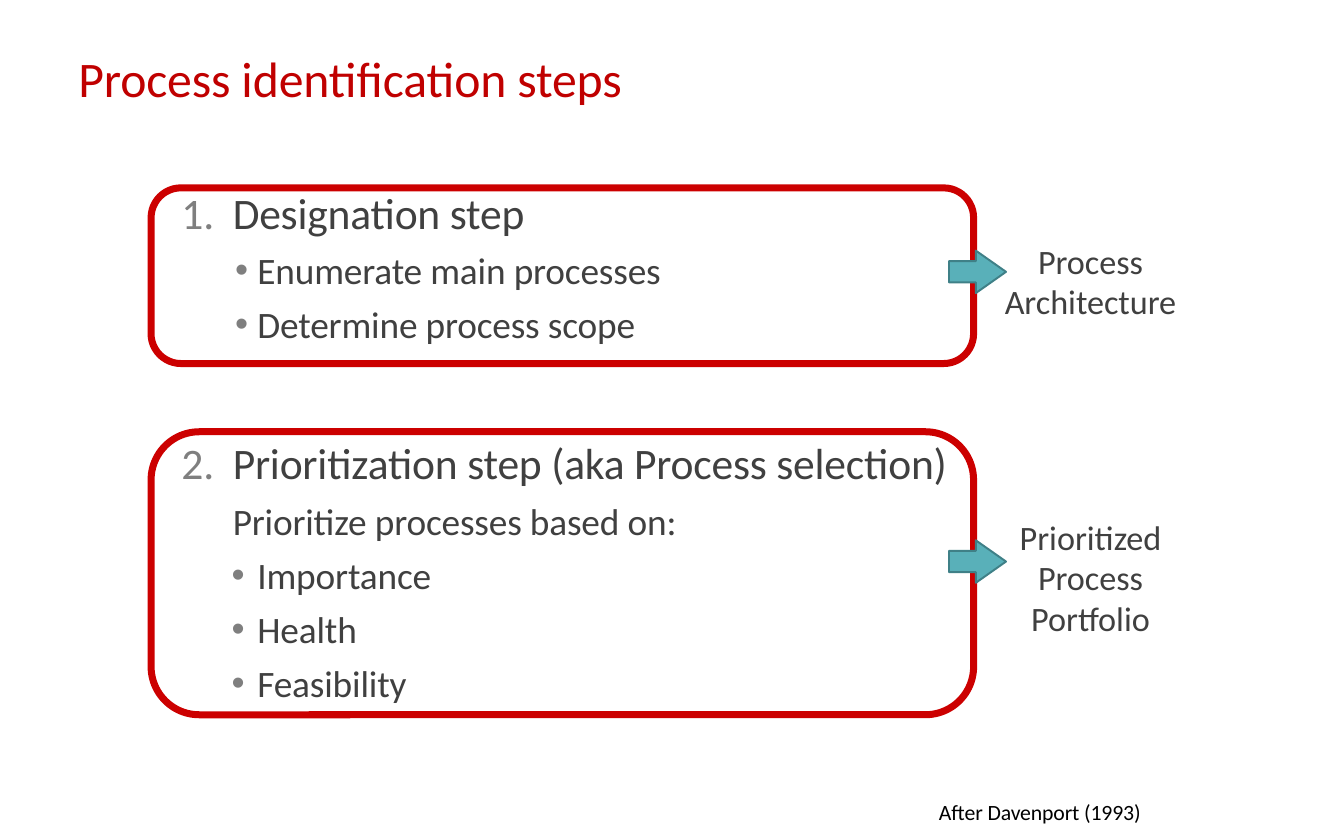
from pptx import Presentation
from pptx.dml.color import RGBColor
from pptx.enum.shapes import MSO_SHAPE as Shape
from pptx.enum.text import MSO_ANCHOR as Anchor, MSO_AUTO_SIZE as Fit, PP_ALIGN as Align
from pptx.oxml.ns import qn
from pptx.util import Inches, Pt
from lxml.etree import SubElement

RED = RGBColor(0xC0, 0x00, 0x00)
FRAME = RGBColor(0xCC, 0x00, 0x00)
TEAL = RGBColor(0x59, 0xB0, 0xB9)
EDGE = RGBColor(0x3F, 0x80, 0x87)
DARK = RGBColor(0x40, 0x40, 0x40)
GRAY = "7F7F7F"
BLACK = RGBColor(0, 0, 0)
FONT = "Calibri"

# Content: each step has a list of (kind, text) lines and an output
TITLE = "Process identification steps"
SOURCE = "After Davenport (1993)"
STEPS = [
    dict(lines=[("num", "Designation step"),
                ("dot", "Enumerate main processes"),
                ("dot", "Determine process scope")],
         top=1.54, height=1.56, hang=0.2, frame=(1.68, 1.57), arrow=2.24,
         output="Process Architecture", label=(2.15, 0.75)),
    dict(lines=[("num", "Prioritization step (aka Process selection)"),
                ("text", "Prioritize processes based on:"),
                ("dot", "Importance"),
                ("dot", "Health"),
                ("dot", "Feasibility")],
         top=3.78, height=2.53, hang=0.23, frame=(3.86, 2.53), arrow=4.83,
         output="Prioritized Process Portfolio", label=(4.62, 1.13)),
]


def place(shape, x, y, w, h):
    shape.left, shape.top = Inches(x), Inches(y)
    shape.width, shape.height = Inches(w), Inches(h)


def setup(shape, inset=0):
    frame = shape.text_frame
    frame.word_wrap = True
    frame.auto_size = Fit.NONE
    frame.vertical_anchor = Anchor.TOP
    frame.margin_left = frame.margin_right = frame.margin_bottom = 0
    frame.margin_top = Inches(inset)
    return frame


def style(para, size, color, align=Align.LEFT, spc=-10):
    para.alignment = align
    para.space_before = 0
    font = para.font
    font.name, font.size, font.color.rgb = FONT, Pt(size), color
    for run in para.runs:
        run._r.get_or_add_rPr().set("spc", str(spc))


def bullet(para, kind, num, hang):
    left, first = {"num": (0.48, -0.46), "text": (0.48, 0), "dot": (0.7, -hang)}[kind]
    props = para._p.get_or_add_pPr()
    props.set("marL", str(Inches(left)))
    props.set("indent", str(Inches(first)))
    if kind == "text":
        SubElement(props, qn("a:buNone"))
        return
    color = SubElement(props, qn("a:buClr"))
    SubElement(color, qn("a:srgbClr"), val=GRAY)
    if kind == "num":
        SubElement(props, qn("a:buFont"), typeface=FONT)
        SubElement(props, qn("a:buAutoNum"), type="arabicPeriod", startAt=str(num))
    else:
        SubElement(props, qn("a:buFont"), typeface="Arial")
        SubElement(props, qn("a:buChar"), char="•")


def fill_list(box, step, num):
    place(box, 1.6, step["top"], 7.1, step["height"])
    frame = setup(box, 0.12)
    for i, (kind, text) in enumerate(step["lines"]):
        para = frame.add_paragraph() if i else frame.paragraphs[0]
        para.text = text
        para.level = 1 if kind == "dot" else 0
        bullet(para, kind, num, step["hang"])
        style(para, 28 if kind == "num" else 24, DARK)
        if i:
            para.space_before = Pt(6)


def add_text(slide, text, x, y, w, h):
    box = slide.shapes.add_textbox(Inches(x), Inches(y), Inches(w), Inches(h))
    para = setup(box).paragraphs[0]
    para.text = text
    return para


def add_shape(slide, kind, x, y, w, h, color, width, adjust):
    shape = slide.shapes.add_shape(kind, Inches(x), Inches(y), Inches(w), Inches(h))
    shape.shadow.inherit = False
    shape.line.color.rgb, shape.line.width = color, Pt(width)
    for i, value in enumerate(adjust):
        shape.adjustments[i] = value
    return shape


def main():
    deck = Presentation()
    deck.slide_width, deck.slide_height = Inches(12.01), Inches(7.5)
    slide = deck.slides.add_slide(deck.slide_layouts[3])

    # Title
    title = slide.shapes.title
    place(title, 0.7, 0.42, 6, 0.56)
    para = setup(title, 0.01).paragraphs[0]
    para.text = TITLE
    style(para, 32, RED)

    # Steps: list, frame, arrow and output
    for num, step in enumerate(STEPS, 1):
        fill_list(slide.placeholders[num], step, num)
        y, h = step["frame"]
        frame = add_shape(slide, Shape.ROUNDED_RECTANGLE, 1.35, y, 7.35, h,
                          FRAME, 4.5, [0.17])
        frame.fill.background()
        arrow = add_shape(slide, Shape.RIGHT_ARROW, 8.48, step["arrow"], 0.51, 0.38,
                          EDGE, 1.25, [0.5, 0.71])
        arrow.fill.solid()
        arrow.fill.fore_color.rgb = TEAL
        y, h = step["label"]
        para = add_text(slide, step["output"], 8.95, y, 1.59, h)
        style(para, 22, DARK, Align.CENTER, 0)
        para.line_spacing = Pt(26)

    # Source line
    style(add_text(slide, SOURCE, 8.39, 7.14, 2, 0.26), 14, BLACK)

    deck.save("out.pptx")


if __name__ == "__main__":
    main()
